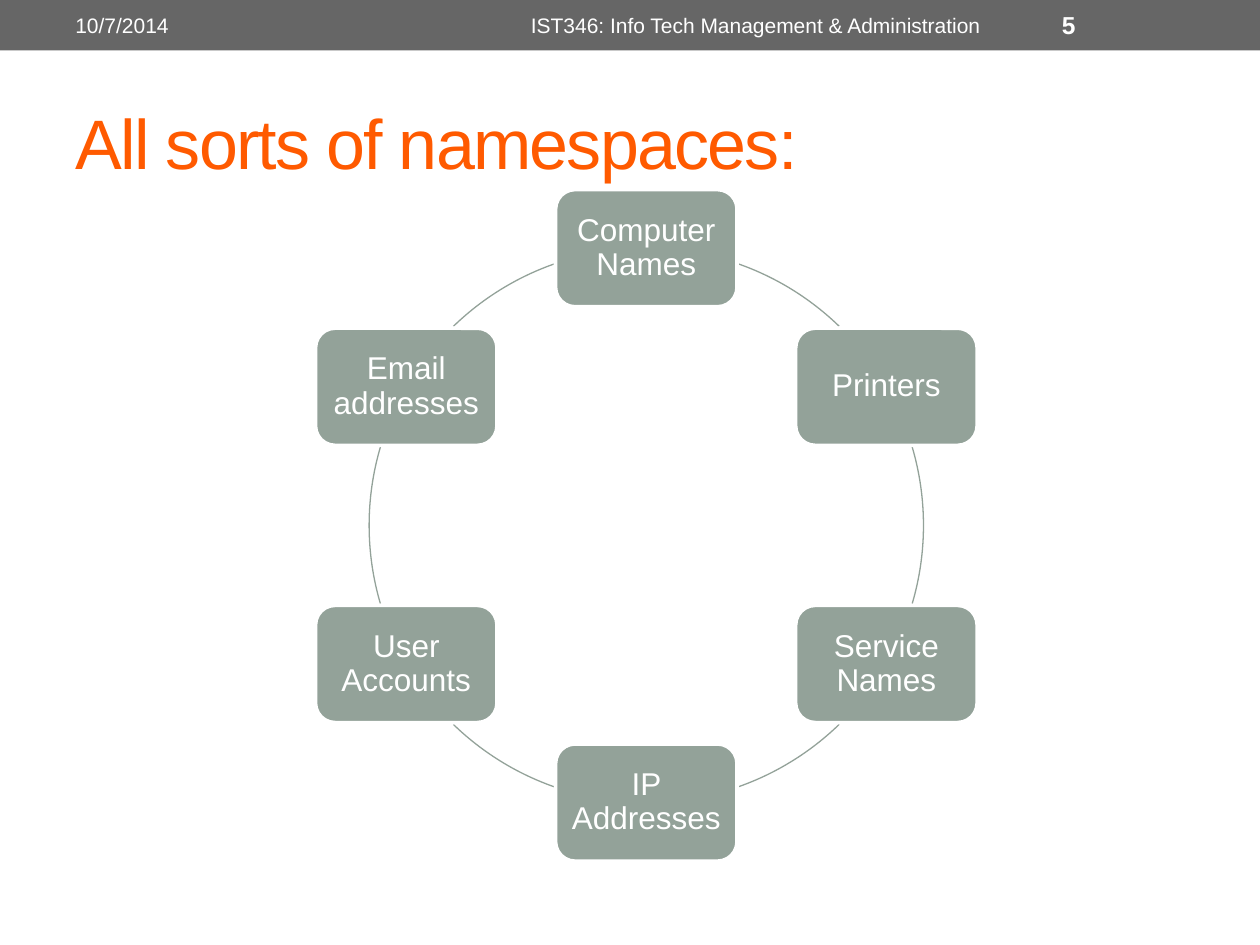
from math import cos, radians, sin

from lxml.etree import SubElement
from pptx import Presentation
from pptx.dml.color import RGBColor
from pptx.enum.shapes import MSO_SHAPE
from pptx.enum.text import MSO_ANCHOR, MSO_AUTO_SIZE, PP_ALIGN
from pptx.oxml.ns import qn
from pptx.util import Inches, Pt

COLORS = {"band": "666666", "title": "FF5A00", "node": "93A299", "white": "FFFFFF"}
FONT = "Arial"

# Ring geometry in inches
CX, CY, RADIUS = 5.13, 4.17, 2.2
NODE_W, NODE_H = 1.44, 0.93
NODES = ["Computer Names", "Printers", "Service Names",
         "IP Addresses", "User Accounts", "Email addresses"]
# Visible spans of the ring on its right half, in degrees clockwise from east
ARC_SPANS = [(-70.9, -45.9), (-16.4, 16.4), (45.9, 70.9)]


def color(name):
    return RGBColor.from_string(COLORS[name])


def add_text(tf, text, size, color_name, align=PP_ALIGN.LEFT, bold=False):
    tf.word_wrap = True
    tf.auto_size = MSO_AUTO_SIZE.NONE
    tf.vertical_anchor = MSO_ANCHOR.MIDDLE
    p = tf.paragraphs[0]
    p.alignment = align
    r = p.add_run()
    r.text = text
    r.font.name, r.font.size, r.font.bold = FONT, Pt(size), bold
    r.font.color.rgb = color(color_name)
    return p, r


def add_title(s, text):
    title = s.shapes.title
    title.left, title.top = Inches(0.5), Inches(0.58)
    title.width, title.height = Inches(9), Inches(1.08)
    p, r = add_text(title.text_frame, text, 40, "title")
    r.font._element.set("spc", "-100")


def add_band(s, width):
    band = s.shapes.add_shape(MSO_SHAPE.RECTANGLE, 0, 0, width, Inches(0.4))
    band.shadow.inherit = False
    band.fill.solid()
    band.fill.fore_color.rgb = color("band")
    band.line.fill.background()


def add_band_text(s, left, width, text, size=12, **style):
    box = s.shapes.add_textbox(Inches(left), Inches(0.02), Inches(width), Inches(0.36))
    add_text(box.text_frame, text, size, "white", **style)


def add_arc(s, start, end):
    arc = s.shapes.add_shape(MSO_SHAPE.ARC, Inches(CX - RADIUS), Inches(CY - RADIUS),
                             Inches(2 * RADIUS), Inches(2 * RADIUS))
    arc.shadow.inherit = False
    # Angles are stored in 60000ths of a degree, adjustments in 100000ths
    for i, angle in enumerate((start, end)):
        arc.adjustments[i] = angle % 360 * 0.6
    arc.fill.background()
    arc.line.color.rgb = color("node")
    arc.line.width = Pt(0.75)


def add_node(s, index, text):
    angle = radians(-90 + index * 360 / len(NODES))
    x, y = CX + RADIUS * cos(angle), CY + RADIUS * sin(angle)
    node = s.shapes.add_shape(MSO_SHAPE.ROUNDED_RECTANGLE,
                              Inches(x - NODE_W / 2), Inches(y - NODE_H / 2),
                              Inches(NODE_W), Inches(NODE_H))
    node.shadow.inherit = False
    node.fill.solid()
    node.fill.fore_color.rgb = color("node")
    node.line.color.rgb = color("white")
    node.line.width = Pt(2.08)
    tf = node.text_frame
    tf.margin_left = tf.margin_right = tf.margin_top = tf.margin_bottom = Inches(0.07)
    p, r = add_text(tf, text, 18, "white", PP_ALIGN.CENTER)
    p.line_spacing = 0.9


def main():
    prs = Presentation()
    prs.slide_width, prs.slide_height = Inches(10), Inches(7.5)
    s = prs.slides.add_slide(prs.slide_layouts[5])

    # Header band and title
    add_band(s, prs.slide_width)
    add_title(s, "All sorts of namespaces:")

    # Ring: the left half repeats the right half turned by 180 degrees
    for turn in (0, 180):
        for start, end in ARC_SPANS:
            add_arc(s, start + turn, end + turn)
    for i, text in enumerate(NODES):
        add_node(s, i, text)

    # Date, course and slide number
    add_band_text(s, 0.5, 3.17, "10/7/2014")
    add_band_text(s, 3.75, 4.5, "IST346: Info Tech Management & Administration",
                  align=PP_ALIGN.CENTER)
    add_band_text(s, 8.33, 1.17, "5", size=14, bold=True)

    prs.save("out.pptx")


if __name__ == "__main__":
    main()
